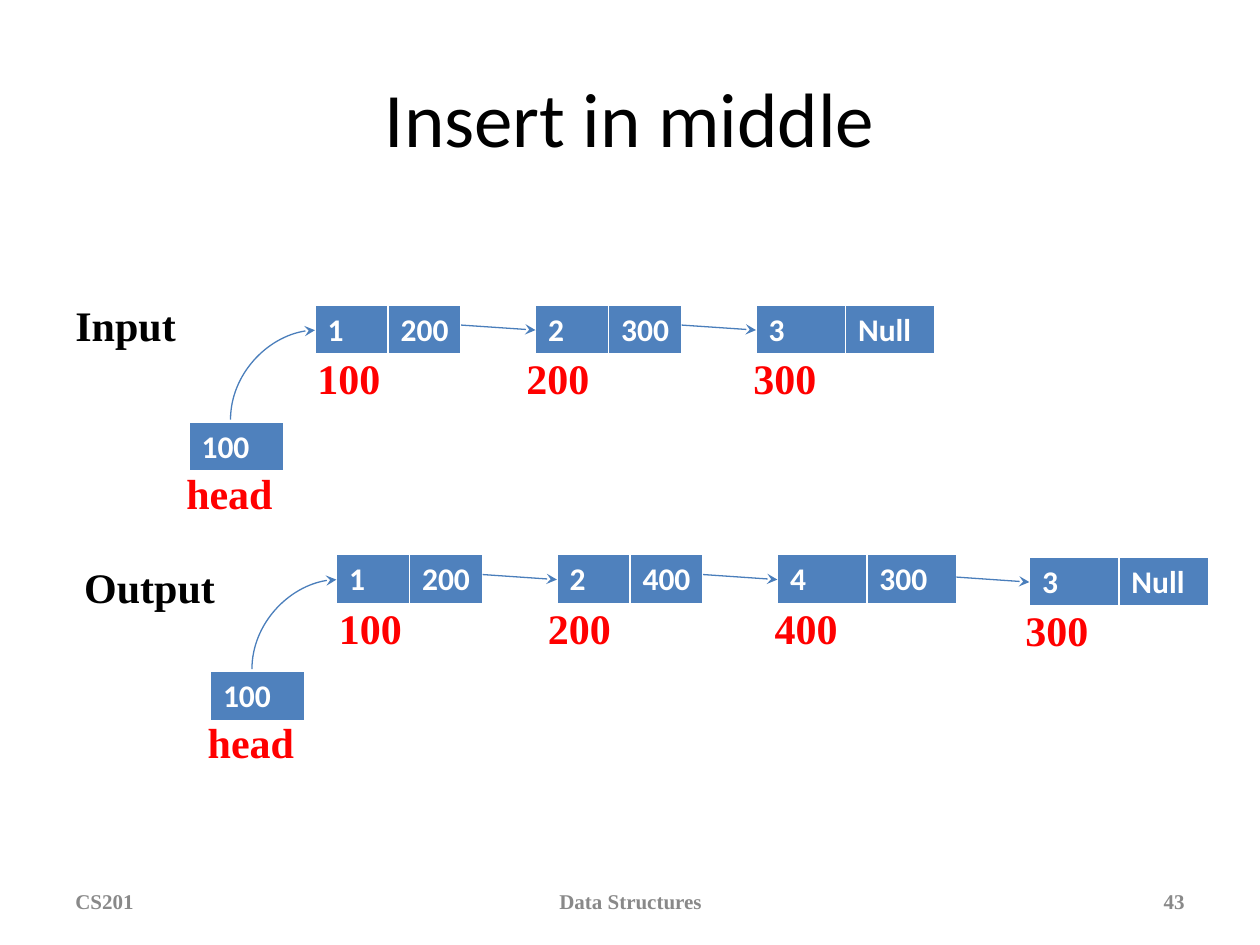
from dataclasses import dataclass

from lxml import etree
from pptx import Presentation
from pptx.dml.color import RGBColor
from pptx.enum.shapes import MSO_CONNECTOR as CONN
from pptx.enum.text import MSO_ANCHOR as ANCHOR, MSO_AUTO_SIZE as AUTO, PP_ALIGN as ALIGN
from pptx.oxml.ns import qn
from pptx.util import Inches, Pt


@dataclass(frozen=True)
class Theme:
    sans: str = "Calibri"
    serif: str = "Times New Roman"
    black: str = "000000"
    white: str = "FFFFFF"
    red: str = "FF0000"
    gray: str = "898989"
    blue: str = "4F81BD"
    line: str = "4A7EBB"
    title: int = 44
    label: int = 24
    cell: int = 18
    footer: int = 12


T = Theme()
ROW_H = 0.4
NODE_STEPS = (0, 1.75, 3.5, 5.5)
NODE_DROPS = (0, 0, 0, 0.02)
CELL_WIDTHS = (0.58, 0.58, 0.71, 0.71)
LABEL_SHIFTS = (-0.08, -0.17, -0.12, -0.13)


def write(tf, text, font=T.serif, size=T.label, color=T.black, bold=True, align=ALIGN.LEFT):
    p = tf.paragraphs[0]
    p.alignment = align
    r = p.add_run()
    r.text = text
    r.font.name = font
    r.font.size = Pt(size)
    r.font.bold = bold
    r.font.color.rgb = RGBColor.from_string(color)


def add_text(slide, box, text, wrap=True, anchor=ANCHOR.MIDDLE, **fmt):
    tf = slide.shapes.add_textbox(*map(Inches, box)).text_frame
    tf.word_wrap = wrap
    tf.vertical_anchor = anchor
    write(tf, text, **fmt)
    return tf


def add_label(slide, x, y, w, text, color=T.red):
    tf = add_text(slide, (x, y, w, 0.51), text, wrap=False, anchor=ANCHOR.TOP, color=color)
    tf.auto_size = AUTO.SHAPE_TO_FIT_TEXT


def set_borders(cell):
    tc_pr = cell._tc.get_or_add_tcPr()
    for side, width in (("L", 1), ("R", 1), ("T", 1), ("B", 3)):
        ln = etree.SubElement(tc_pr, qn(f"a:ln{side}"), w=str(Pt(width)))
        fill = etree.SubElement(ln, qn("a:solidFill"))
        etree.SubElement(fill, qn("a:srgbClr"), val=T.white)


def add_node(slide, x, y, cell_w, values):
    box = map(Inches, (x, y, cell_w * len(values), ROW_H))
    table = slide.shapes.add_table(1, len(values), *box).table
    for i, value in enumerate(values):
        table.columns[i].width = Inches(cell_w)
        cell = table.cell(0, i)
        set_borders(cell)
        cell.fill.solid()
        cell.fill.fore_color.rgb = RGBColor.from_string(T.blue)
        write(cell.text_frame, value, font=T.sans, size=T.cell, color=T.white)


def add_arrow(slide, x1, y1, x2, y2, kind=CONN.STRAIGHT):
    c = slide.shapes.add_connector(kind, *map(Inches, (x1, y1, x2, y2)))
    c.line.color.rgb = RGBColor.from_string(T.line)
    c.line.width = Pt(0.75)
    etree.SubElement(c.line._get_or_add_ln(), qn("a:tailEnd"), type="stealth")
    etree.SubElement(c._element.spPr, qn("a:effectLst"))
    return c


def add_curve(slide, x1, y1, x2, y2):
    across, up = x2 - x1, y1 - y2
    left = (x1 + x2 - up) / 2
    top = (y1 + y2 - across) / 2
    c = add_arrow(slide, left, top, left + up, top + across, CONN.CURVE)
    sp_pr = c._element.spPr
    sp_pr.find(qn("a:xfrm")).set("rot", str(270 * 60000))
    sp_pr.find(qn("a:prstGeom")).set("prst", "curvedConnector2")


def add_linked_list(slide, x, y, nodes):
    prev_right = None
    for (values, address), step, drop, cell_w, shift in zip(
        nodes, NODE_STEPS, NODE_DROPS, CELL_WIDTHS, LABEL_SHIFTS
    ):
        left, top = x + step, y + drop
        add_node(slide, left, top, cell_w, values)
        add_label(slide, left + shift, top + 0.33, 0.71, address)
        if prev_right is not None:
            add_arrow(slide, prev_right, top + 0.16, left, top + ROW_H / 2)
        prev_right = left + 2 * cell_w
    add_node(slide, x - 1, y + 0.93, 0.75, ["100"])
    add_curve(slide, x - 0.67, y + 0.91, x, y + ROW_H / 2)
    add_label(slide, x - 1.12, y + 1.24, 0.89, "head")


def add_footer(slide, y):
    for x, w, text, align in (
        (0.5, 2.33, "CS201", ALIGN.LEFT),
        (3.42, 3.17, "Data Structures", ALIGN.CENTER),
        (7.17, 2.33, "43", ALIGN.RIGHT),
    ):
        add_text(slide, (x, y, w, 0.4), text, size=T.footer, color=T.gray, align=align)


def main():
    prs = Presentation()
    prs.slide_width, prs.slide_height = Inches(10), Inches(7.5)
    slide = prs.slides.add_slide(prs.slide_layouts[6])
    add_text(slide, (0.5, 0.3, 9, 1.25), "Insert in middle", font=T.sans,
             size=T.title, bold=False, align=ALIGN.CENTER)
    add_footer(slide, 6.95)
    add_linked_list(slide, 2.5, 2.42, [
        (("1", "200"), "100"),
        (("2", "300"), "200"),
        (("3", "Null"), "300"),
    ])
    add_linked_list(slide, 2.67, 4.4, [
        (("1", "200"), "100"),
        (("2", "400"), "200"),
        (("4", "300"), "400"),
        (("3", "Null"), "300"),
    ])
    add_label(slide, 0.5, 2.33, 1.01, "Input", color=T.black)
    add_label(slide, 0.57, 4.41, 1.25, "Output", color=T.black)
    prs.save("out.pptx")


if __name__ == "__main__":
    main()
